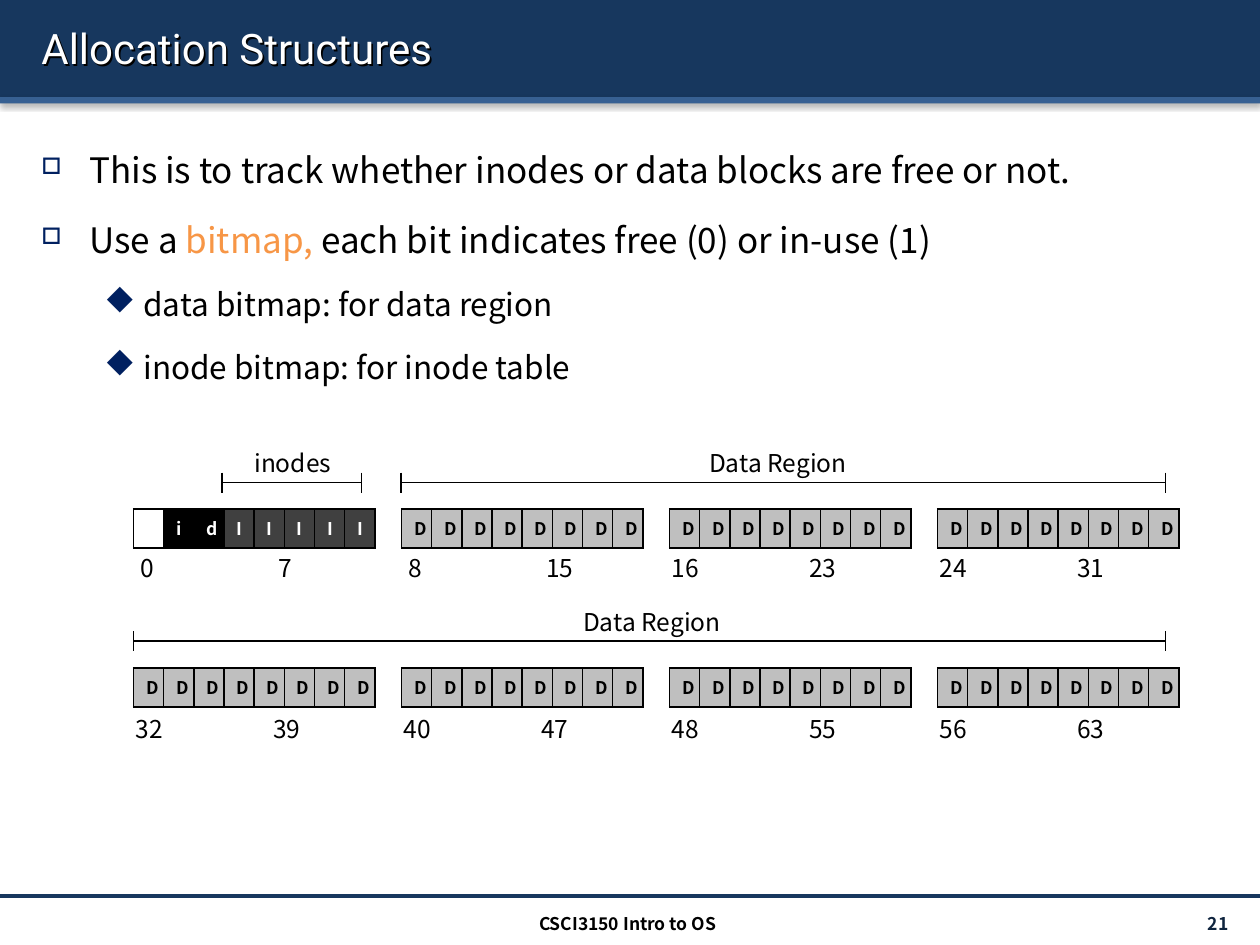
from lxml import etree
from pptx import Presentation
from pptx.dml.color import RGBColor
from pptx.enum.shapes import MSO_CONNECTOR, MSO_SHAPE
from pptx.enum.text import MSO_ANCHOR, PP_ALIGN
from pptx.oxml.ns import qn
from pptx.util import Inches, Pt

RECTANGLE = MSO_SHAPE.RECTANGLE
STRAIGHT = MSO_CONNECTOR.STRAIGHT
LEFT, CENTER, RIGHT = PP_ALIGN.LEFT, PP_ALIGN.CENTER, PP_ALIGN.RIGHT
TOP, MIDDLE = MSO_ANCHOR.TOP, MSO_ANCHOR.MIDDLE

BLACK = RGBColor(0x00, 0x00, 0x00)
WHITE = RGBColor(0xFF, 0xFF, 0xFF)
NAVY = RGBColor(0x17, 0x37, 0x5E)
BLUE = RGBColor(0x37, 0x60, 0x92)
INK = RGBColor(0x0F, 0x24, 0x3E)
BULLET = RGBColor(0x00, 0x20, 0x60)
ORANGE = RGBColor(0xF7, 0x96, 0x46)
DARK_GRAY = RGBColor(0x40, 0x40, 0x40)
LIGHT_GRAY = RGBColor(0xBF, 0xBF, 0xBF)

BODY_FONT = "Noto Sans CJK KR"
TITLE_FONT = "Roboto"
BULLET_FONT = "Wingdings"

BLOCKS_PER_GROUP = 8
GROUPS_PER_ROW = 4
BLOCK_WIDTH, BLOCK_HEIGHT = 0.2275, 0.31
GROUP_LEFT, GROUP_PITCH = 1.06, 2.127
SUPER_GROUP = [("", WHITE), ("i", BLACK), ("d", BLACK)] + [("I", DARK_GRAY)] * 5
DATA_GROUP = [("D", LIGHT_GRAY)] * BLOCKS_PER_GROUP

BULLETS = [
    (0, [("This is to track whether inodes or data blocks are free or not.", BLACK)]),
    (0, [("Use a ", BLACK), ("bitmap, ", ORANGE),
         ("each bit indicates free (0) or in-use (1)", BLACK)]),
    (1, [("data bitmap: for data region", BLACK)]),
    (1, [("inode bitmap: for inode table", BLACK)]),
]
BULLET_LEVELS = [(0.38, -0.38, 20, "o", 65), (0.81, -0.31, 18, "u", 100)]


def add_child(parent, tag, **attributes):
    """Append a DrawingML element and return it."""
    child = etree.SubElement(parent, qn(tag))
    for name, value in attributes.items():
        child.set(name, str(value))
    return child


def add_color(parent, color):
    """Append an RGB colour element and return it."""
    return add_child(parent, "a:srgbClr", val=color)


def add_shadow(shape, blur, distance, angle, opacity):
    """Give a shape a black outer shadow."""
    effects = add_child(shape._element.spPr, "a:effectLst")
    shadow = add_child(effects, "a:outerShdw", blurRad=Pt(blur), dist=Pt(distance),
                       dir=angle * 60000, algn="ctr", rotWithShape=0)
    add_child(add_color(shadow, BLACK), "a:alpha", val=opacity * 1000)


def style_font(font, size, color, name=BODY_FONT, bold=False):
    """Set the face, size, weight and colour of a font."""
    font.name, font.size, font.bold = name, Pt(size), bold
    font.color.rgb = color


def add_band(page, top, height, color):
    """Add a full-width header band with a soft shadow."""
    band = page.shapes.add_shape(RECTANGLE, 0, Inches(top), Inches(10), Inches(height))
    band.fill.solid()
    band.fill.fore_color.rgb = color
    band.line.fill.background()
    add_shadow(band, 3.1, 1.6, 90, 38)


def add_line(page, start, end, color=BLACK, width=1):
    """Add a straight line between two points."""
    line = page.shapes.add_connector(STRAIGHT, *[Inches(value) for value in start + end])
    line.line.color.rgb = color
    line.line.width = Pt(width)
    add_child(line._element.spPr, "a:effectLst")


def add_box(page, left, top, width, height, anchor=TOP):
    """Add an empty wrapping text box."""
    box = page.shapes.add_textbox(Inches(left), Inches(top), Inches(width), Inches(height))
    box.text_frame.word_wrap = True
    box.text_frame.vertical_anchor = anchor
    return box


def add_label(page, text, place, size, color=BLACK, name=BODY_FONT, bold=False,
              align=LEFT, anchor=TOP):
    """Add a one-line text box and return it."""
    box = add_box(page, *place, anchor)
    para = box.text_frame.paragraphs[0]
    para.text = text
    para.alignment = align
    style_font(para.font, size, color, name, bold)
    return box


def add_title(page, text):
    """Add the title with a crisp shadow behind its letters."""
    box = add_label(page, text, (0.23, 0.06, 9.61, 0.64), 24, WHITE, TITLE_FONT, anchor=MIDDLE)
    add_shadow(box, 0, 1.4, 45, 100)


def add_bullets(page):
    """Add the two-level bullet list."""
    frame = add_box(page, 0.23, 0.96, 9.61, 6.02).text_frame
    for index, (level, spans) in enumerate(BULLETS):
        margin, indent, size, mark, mark_size = BULLET_LEVELS[level]
        para = frame.add_paragraph() if index else frame.paragraphs[0]
        para.level = level
        para.line_spacing = 1.5
        para.space_before = Pt(size * 0.2)
        properties = para._p.get_or_add_pPr()
        properties.set("marL", str(Inches(margin)))
        properties.set("indent", str(Inches(indent)))
        add_color(add_child(properties, "a:buClr"), BULLET)
        add_child(properties, "a:buSzPct", val=mark_size * 1000)
        add_child(properties, "a:buFont", typeface=BULLET_FONT, pitchFamily=2, charset=2)
        add_child(properties, "a:buChar", char=mark)
        for text, color in spans:
            span = para.add_run()
            span.text = text
            style_font(span.font, size, color)


def add_borders(cell):
    """Draw thin black borders on all sides of a cell."""
    properties = cell._tc.get_or_add_tcPr()
    for side in ("a:lnL", "a:lnR", "a:lnT", "a:lnB"):
        border = add_child(properties, side, w=Pt(1))
        add_color(add_child(border, "a:solidFill"), BLACK)


def add_group(page, left, top, blocks):
    """Add a one-row table of disk blocks."""
    frame = page.shapes.add_table(1, len(blocks), Inches(left), Inches(top),
                                  Inches(BLOCK_WIDTH * len(blocks)), Inches(BLOCK_HEIGHT))
    table = frame.table
    table.first_row = table.horz_banding = False
    for cell, (text, fill) in zip(table.iter_cells(), blocks):
        add_borders(cell)
        cell.fill.solid()
        cell.fill.fore_color.rgb = fill
        para = cell.text_frame.paragraphs[0]
        para.alignment = CENTER
        style_font(para.font, 10, BLACK if fill == LIGHT_GRAY else WHITE, bold=True)
        if text:
            para.add_run().text = text
        else:
            add_child(para._p, "a:endParaRPr", sz=1000)


def add_range(page, left, top, first):
    """Number the first and last block of a group."""
    text = f"{first}\t{first + BLOCKS_PER_GROUP - 1}"
    offset = 0.04 * len(str(first))
    box = add_label(page, text, (left - offset, top, 2.03, 0.34), 14)
    properties = box.text_frame.paragraphs[0]._p.get_or_add_pPr()
    tabs = add_child(properties, "a:tabLst")
    add_child(tabs, "a:tab", pos=Inches(1.09), algn="l")
    properties.insert(0, tabs)


def add_bracket(page, left, right, middle, text, text_left, text_width):
    """Add a labelled span line with end ticks."""
    for end in (left, right):
        add_line(page, (end, middle - 0.08), (end, middle + 0.08))
    add_line(page, (left, middle), (right, middle))
    add_label(page, text, (text_left, middle - 0.32, text_width, 0.34), 14)


def main():
    """Build the slide and save it."""
    deck = Presentation()
    deck.slide_width, deck.slide_height = Inches(10), Inches(7.5)
    page = deck.slides.add_slide(deck.slide_layouts[6])
    add_band(page, 0, 0.77, NAVY)
    add_band(page, 0.77, 0.05, BLUE)
    add_line(page, (0, 7.11), (10, 7.11), NAVY, 2)
    add_title(page, "Allocation Structures")
    add_bullets(page)
    add_label(page, "21 ", (8.71, 7.21, 1.17, 0.24), 10, INK, bold=True,
              align=RIGHT, anchor=MIDDLE)
    add_label(page, "CSCI3150 Intro to OS", (3.32, 7.2, 3.32, 0.24), 10, bold=True, align=CENTER)
    for row, (top, range_top) in enumerate([(4.04, 4.34), (5.3, 5.62)]):
        for column in range(GROUPS_PER_ROW):
            group = row * GROUPS_PER_ROW + column
            left = GROUP_LEFT + column * GROUP_PITCH
            add_group(page, left, top, DATA_GROUP if group else SUPER_GROUP)
            add_range(page, left, range_top, group * BLOCKS_PER_GROUP)
    add_bracket(page, 1.76, 2.87, 3.83, "inodes", 1.92, 0.84)
    add_bracket(page, 3.18, 9.25, 3.83, "Data Region", 5.53, 1.36)
    add_bracket(page, 1.06, 9.25, 5.09, "Data Region", 4.53, 1.36)
    deck.save("out.pptx")


if __name__ == "__main__":
    main()
